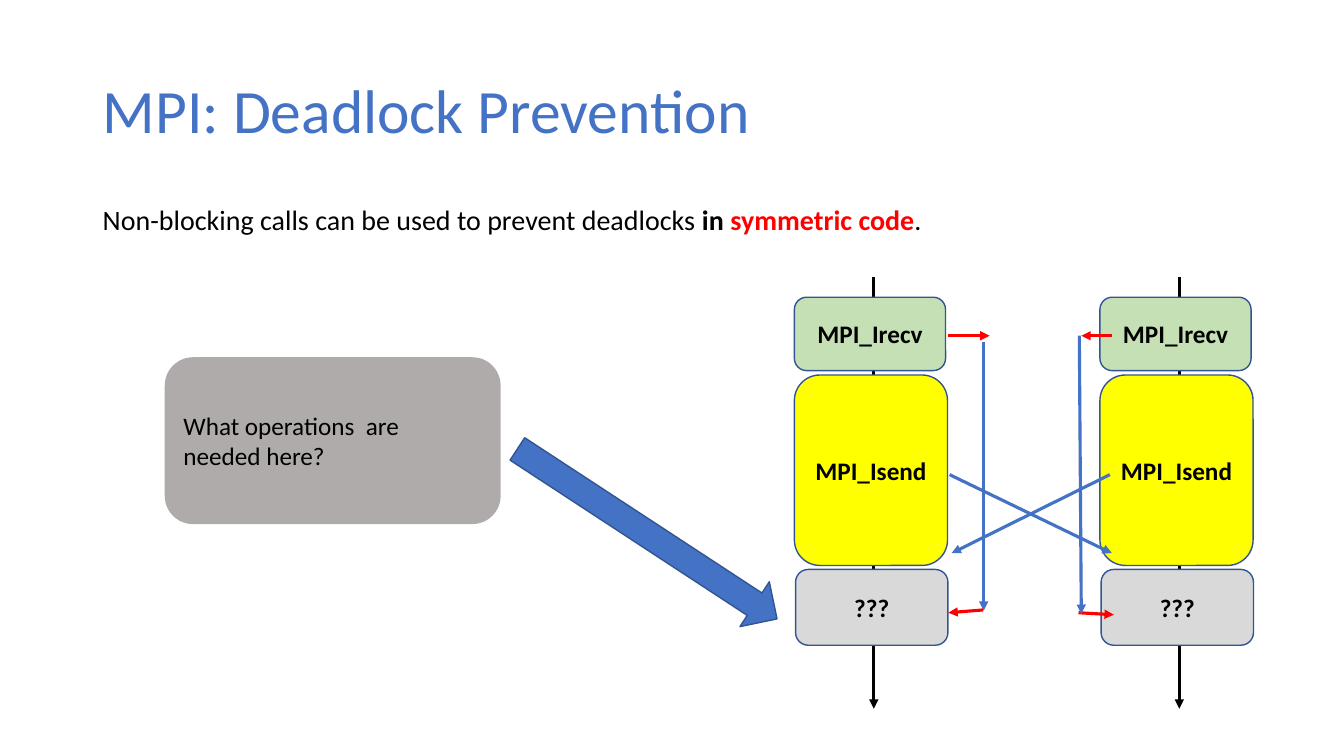
from lxml import etree
from pptx import Presentation
from pptx.dml.color import RGBColor
from pptx.enum.shapes import MSO_CONNECTOR, MSO_SHAPE
from pptx.enum.text import MSO_ANCHOR, PP_ALIGN
from pptx.oxml.ns import qn
from pptx.util import Cm, Pt

STRAIGHT = MSO_CONNECTOR.STRAIGHT
ROUNDED = MSO_SHAPE.ROUNDED_RECTANGLE
RIGHT_ARROW = MSO_SHAPE.RIGHT_ARROW
LEFT, CENTER = PP_ALIGN.LEFT, PP_ALIGN.CENTER
TOP, MIDDLE = MSO_ANCHOR.TOP, MSO_ANCHOR.MIDDLE

BLACK, RED, BLUE, EDGE, GRAY = "000000", "FF0000", "4472C4", "325491", "AFABAB"

# Content: text runs are (text, format), lengths are in centimetres
TITLE = [("MPI: Deadlock Prevention", {"color": BLUE})]
STATEMENT = [
    ("Non-blocking calls can be used to prevent deadlocks", {}),
    (" in ", {"bold": True}),
    ("symmetric code", {"bold": True, "color": RED}),
    (".", {}),
]
QUESTION = [("What operations  are needed here?", {})]

# Calls of one process: text, fill, offset from the column, top, width, height
CALLS = [
    ("MPI_Irecv", "C5E0B4", 0, 7.49, 3.81, 1.85),
    ("???", "D9D9D9", 0.03, 14.35, 3.84, 1.91),
    ("MPI_Isend", "FFFF00", 0, 9.45, 3.86, 4.8),
]
PROCESS_LEFT, PROCESS_PITCH, PROCESS_COUNT = 20.02, 7.7, 2
TIMELINE_OFFSET, TIMELINE_TOP, TIMELINE_BOTTOM = 2.0, 6.99, 17.86

# Messages between the processes: start, end, color
MESSAGES = [
    ((23.93, 11.96), (28.02, 13.94), BLUE),
    ((27.97, 11.96), (23.98, 13.94), BLUE),
    ((23.9, 8.46), (24.94, 8.46), RED),
    ((24.79, 8.61), (24.79, 15.39), BLUE),
    ((27.18, 15.44), (28.07, 15.49), RED),
    ((24.77, 15.37), (23.9, 15.44), RED),
    ((28.02, 8.46), (27.25, 8.46), RED),
    ((27.2, 8.46), (27.25, 15.47), BLUE),
]

presentation = Presentation()
presentation.slide_width, presentation.slide_height = Cm(33.87), Cm(19.05)
slide = presentation.slides.add_slide(presentation.slide_layouts[6])


def rgb(color):
    return RGBColor.from_string(color)


def write(shape, runs, size=18, align=LEFT, anchor=MIDDLE, spacing=1.0):
    frame = shape.text_frame
    frame.word_wrap = True
    frame.vertical_anchor = anchor
    paragraph = frame.paragraphs[0]
    paragraph.alignment = align
    paragraph.line_spacing = spacing
    for text, style in runs:
        run = paragraph.add_run()
        run.text = text
        run.font.name = "Calibri"
        run.font.size = Pt(size)
        run.font.bold = style.get("bold", False)
        run.font.color.rgb = rgb(style.get("color", BLACK))


def add_text(box, runs, **style):
    write(slide.shapes.add_textbox(*map(Cm, box)), runs, spacing=0.9, **style)


def add_block(kind, box, fill, edge):
    shape = slide.shapes.add_shape(kind, *map(Cm, box))
    shape.shadow.inherit = False
    shape.fill.solid()
    shape.fill.fore_color.rgb = rgb(fill)
    shape.line.color.rgb = rgb(edge)
    shape.line.width = Pt(1)
    return shape


def add_arrow(start, end, color):
    arrow = slide.shapes.add_connector(STRAIGHT, *map(Cm, start + end))
    arrow.line.color.rgb = rgb(color)
    arrow.line.width = Pt(2.25)
    properties = arrow.element.spPr
    line = properties.find(qn("a:ln"))
    etree.SubElement(line, qn("a:tailEnd"), type="triangle")
    etree.SubElement(properties, qn("a:effectLst"))


# Heading
add_text((2.34, 1.02, 29.21, 3.68), TITLE, size=44)
add_text((2.34, 5.08, 29.21, 12.09), STATEMENT, size=20, anchor=TOP)

# Processes, each with a timeline behind its calls
for index in range(PROCESS_COUNT):
    left = PROCESS_LEFT + index * PROCESS_PITCH
    middle = left + TIMELINE_OFFSET
    add_arrow((middle, TIMELINE_TOP), (middle, TIMELINE_BOTTOM), BLACK)
    for text, fill, offset, top, width, height in CALLS:
        call = add_block(ROUNDED, (left + offset, top, width, height), fill, EDGE)
        write(call, [(text, {"bold": True})], align=CENTER)

# Messages
for start, end, color in MESSAGES:
    add_arrow(start, end, color)

# Question and its pointer
write(add_block(ROUNDED, (4.17, 9.02, 8.43, 4.17), GRAY, GRAY), QUESTION)
pointer = add_block(RIGHT_ARROW, (12.4, 12.78, 7.82, 1.35), BLUE, EDGE)
pointer.rotation = 33.2

presentation.save("out.pptx")
